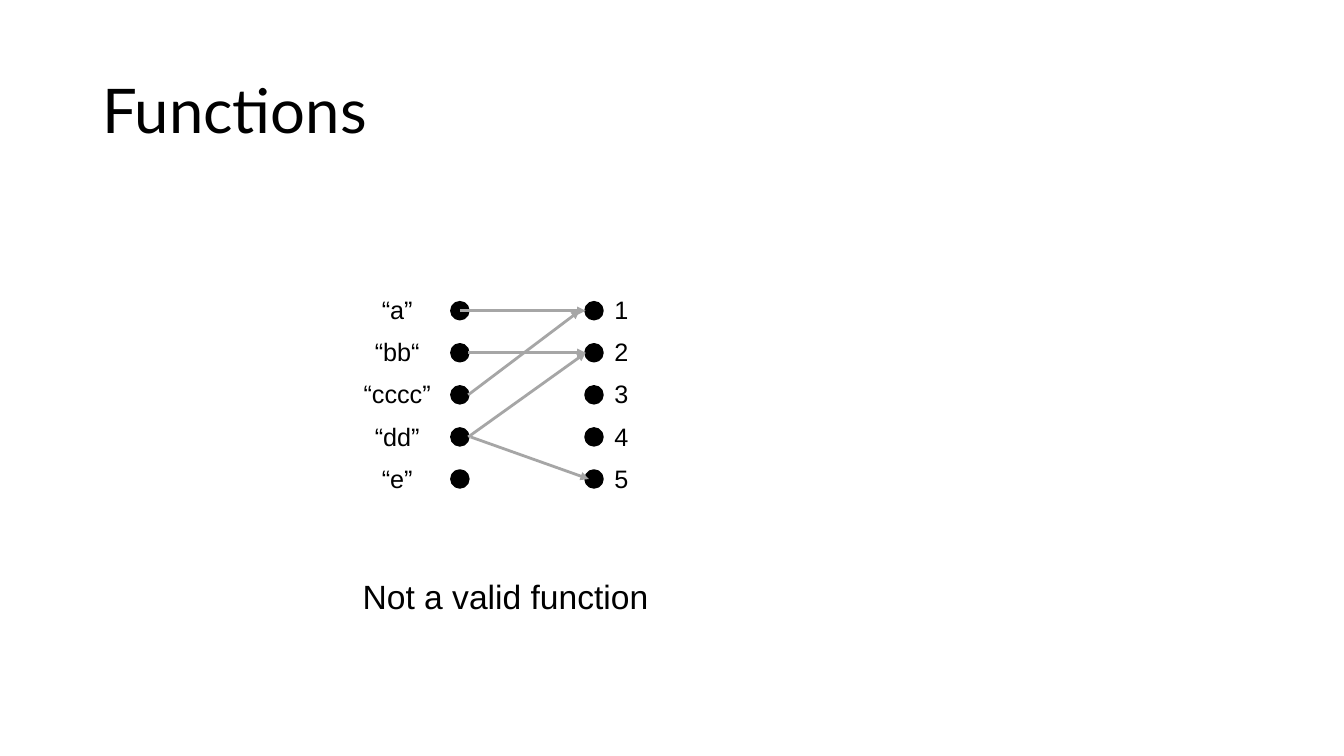
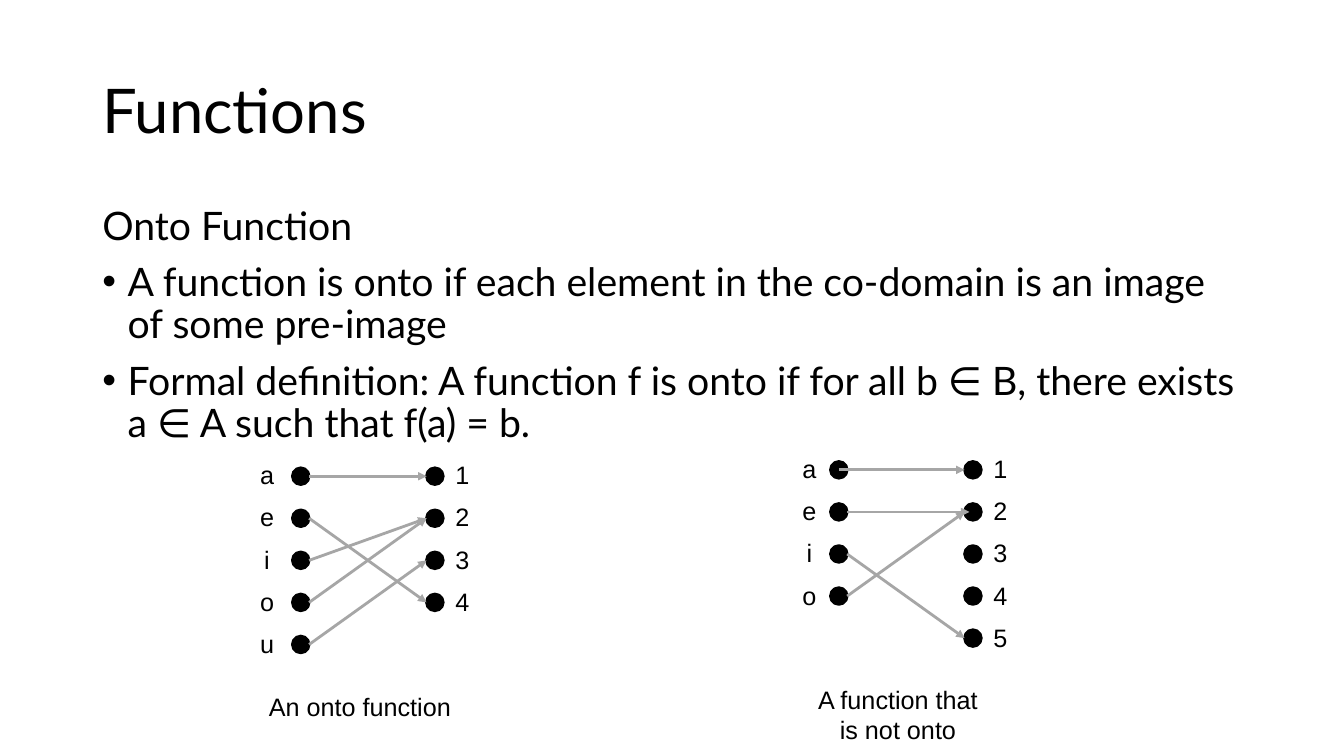
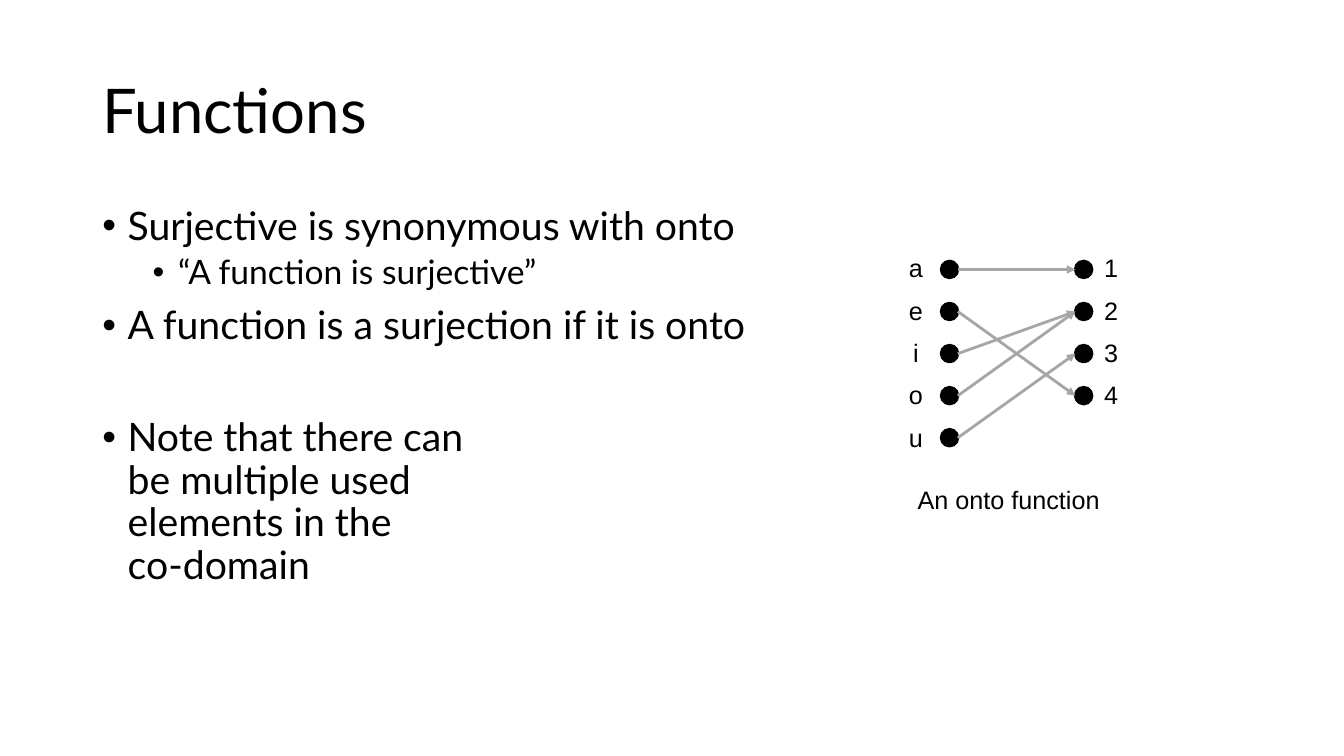
"""Builds three slides on functions with mapping diagrams."""
from lxml import etree
from pptx import Presentation
from pptx.dml.color import RGBColor
from pptx.enum.shapes import MSO_CONNECTOR, MSO_SHAPE
from pptx.enum.text import MSO_ANCHOR, MSO_AUTO_SIZE, PP_ALIGN
from pptx.oxml.ns import qn
from pptx.util import Cm, Pt

BLACK = RGBColor(0x00, 0x00, 0x00)
GREY = RGBColor(0xA6, 0xA6, 0xA6)
ELLIPSE = MSO_SHAPE.OVAL
STRAIGHT = MSO_CONNECTOR.STRAIGHT
CENTER = PP_ALIGN.CENTER
LEFT = PP_ALIGN.LEFT
MIDDLE = MSO_ANCHOR.MIDDLE
TOP = MSO_ANCHOR.TOP
GROW = MSO_AUTO_SIZE.SHAPE_TO_FIT_TEXT
FIXED = MSO_AUTO_SIZE.NONE

HEADING_FONT = "Lato"
DIAGRAM_FONT = "Arial"
DOT = 0.42
ROW = 1.06
COLUMN = 3.38
LABEL_RISE = 0.64
LABEL_HEIGHT = 5.59
NUMBER_OFFSET = 0.9
NUMBER_WIDTH = 0.86
VOWELS = ["a", "e", "i", "o", "u"]
DIGITS = ["1", "2", "3", "4", "5"]


class Deck:
    def __init__(self):
        self.presentation = Presentation()
        self.presentation.slide_width = Cm(33.87)
        self.presentation.slide_height = Cm(19.05)
        self.slide = None

    def add_slide(self, title):
        layout = self.presentation.slide_layouts[6]
        self.slide = self.presentation.slides.add_slide(layout)
        frame = self.frame(self.slide.shapes, 2.33, 1.01, 29.21, 3.68,
                           anchor=MIDDLE)
        self.add_text(frame.paragraphs[0], title, HEADING_FONT, 44,
                      spacing=0.9)

    def frame(self, shapes, left, top, width, height, wrap=True,
              anchor=TOP, fit=FIXED):
        box = shapes.add_textbox(Cm(left), Cm(top), Cm(width), Cm(height))
        frame = box.text_frame
        frame.word_wrap = wrap
        frame.vertical_anchor = anchor
        frame.auto_size = fit
        return frame

    def add_text(self, paragraph, text, font, size, align=LEFT, spacing=1.0):
        paragraph.alignment = align
        paragraph.line_spacing = spacing
        for number, line in enumerate(text.split("\n")):
            if number:
                paragraph.add_line_break()
            run = paragraph.add_run()
            run.text = line
            run.font.name = font
            run.font.size = Pt(size)
            run.font.color.rgb = BLACK

    def body(self, items):
        frame = self.frame(self.slide.shapes, 2.33, 5.07, 29.21, 12.09)
        for number, (text, level, before) in enumerate(items):
            paragraph = frame.add_paragraph() if number else frame.paragraphs[0]
            if level is not None:
                self.bullet(paragraph, level)
            if number:
                paragraph.space_before = Pt(before)
            size = 24 if level else 28
            self.add_text(paragraph, text, HEADING_FONT, size, spacing=0.9)

    def bullet(self, paragraph, level):
        paragraph.level = level
        properties = paragraph._p.get_or_add_pPr()
        properties.set("marL", str(Cm(0.64 + 1.27 * level)))
        properties.set("indent", str(-Cm(0.64)))
        font = etree.SubElement(properties, qn("a:buFont"))
        font.set("typeface", DIAGRAM_FONT)
        etree.SubElement(properties, qn("a:buChar")).set("char", "•")

    def dots(self, shapes, left, top, count):
        for row in range(count):
            dot = shapes.add_shape(ELLIPSE, Cm(left), Cm(top + row * ROW),
                                   Cm(DOT), Cm(DOT))
            dot.shadow.inherit = False
            dot.fill.solid()
            dot.fill.fore_color.rgb = BLACK
            dot.line.color.rgb = BLACK
            dot.line.width = Pt(2)

    def arrow(self, shapes, start, end):
        arrow = shapes.add_connector(STRAIGHT, *map(Cm, start + end))
        arrow.line.color.rgb = GREY
        arrow.line.width = Pt(2)
        line = arrow.line._get_or_add_ln()
        etree.SubElement(line, qn("a:tailEnd")).set("type", "triangle")
        etree.SubElement(arrow._element.spPr, qn("a:effectLst"))

    def labels(self, shapes, center, top, width, texts):
        frame = self.frame(shapes, center - width / 2, top - LABEL_RISE,
                           width, LABEL_HEIGHT, wrap=False, fit=GROW)
        for number, text in enumerate(texts):
            paragraph = frame.add_paragraph() if number else frame.paragraphs[0]
            self.add_text(paragraph, text, DIAGRAM_FONT, 18, CENTER, 1.4)

    def caption(self, shapes, text, box, size=18, wrap=False):
        frame = self.frame(shapes, *box, wrap=wrap, fit=GROW)
        self.add_text(frame.paragraphs[0], text, DIAGRAM_FONT, size, CENTER)

    def mapping(self, left, top, domain, codomain, arrows, name_gap,
                name_width=NUMBER_WIDTH):
        """Each arrow is (domain row, codomain row, start shift, end shift)."""
        shapes = self.slide.shapes.add_group_shape().shapes
        right = left + COLUMN
        self.dots(shapes, left, top, len(domain))
        self.dots(shapes, right, top, len(codomain))
        middle = top + DOT / 2
        for source, target, start_shift, end_shift in arrows:
            self.arrow(shapes,
                       (left + DOT + start_shift, middle + source * ROW),
                       (right + end_shift, middle + target * ROW))
        self.labels(shapes, left - name_gap, top, name_width, domain)
        self.labels(shapes, right + NUMBER_OFFSET, top, NUMBER_WIDTH, codomain)
        return shapes

    def onto_mapping(self, left, top):
        pairs = [(0, 0), (1, 3), (2, 1), (3, 1), (4, 2)]
        arrows = [(source, target, 0, 0) for source, target in pairs]
        shapes = self.mapping(left, top, VOWELS, DIGITS[:4], arrows, 0.64)
        self.caption(shapes, "An onto function",
                     (left - 0.89, top + 5.5, 5.18, 1.02))


def main():
    deck = Deck()

    deck.add_slide("Functions")
    deck.mapping(11.38, 7.62, ["“a”", "“bb“", "“cccc”", "“dd”", "“e”"], DIGITS,
                 [(0, 0, -0.21, 0), (1, 1, 0, 0), (3, 1, 0, 0),
                  (2, 0, 0, -0.15), (3, 4, 0.06, 0.08)], 1.37, 2.24)
    deck.caption(deck.slide.shapes, "Not a valid function",
                 (8.84, 14.38, 7.8, 1.27), size=24)

    deck.add_slide("Functions")
    deck.body([
        ("Onto Function", None, 0),
        ("A function is onto if each element in the co-domain is an image "
         "of some pre-image", 0, 10),
        ("Formal definition: A function f is onto if for all b ∈ B, there "
         "exists a ∈ A such that f(a) = b.", 0, 10),
    ])
    not_onto = deck.mapping(20.93, 11.63, VOWELS[:4], DIGITS,
                            [(0, 0, -0.21, 0), (1, 1, 0, 0.12),
                             (3, 1, 0, 0), (2, 4, 0, 0)], 0.53)
    deck.caption(not_onto, "A function that is not onto",
                 (20.19, 17.12, 4.88, 1.8), wrap=True)
    deck.onto_mapping(7.37, 11.79)

    deck.add_slide("Functions")
    deck.body([
        ("Surjective is synonymous with onto", 0, 0),
        ("“A function is surjective”", 1, 5),
        ("A function is a surjection if it is onto", 0, 10),
        ("Note that there can\nbe multiple used\nelements in the\nco-domain",
         0, 50),
    ])
    deck.onto_mapping(23.72, 6.58)

    deck.presentation.save("out.pptx")


if __name__ == "__main__":
    main()
